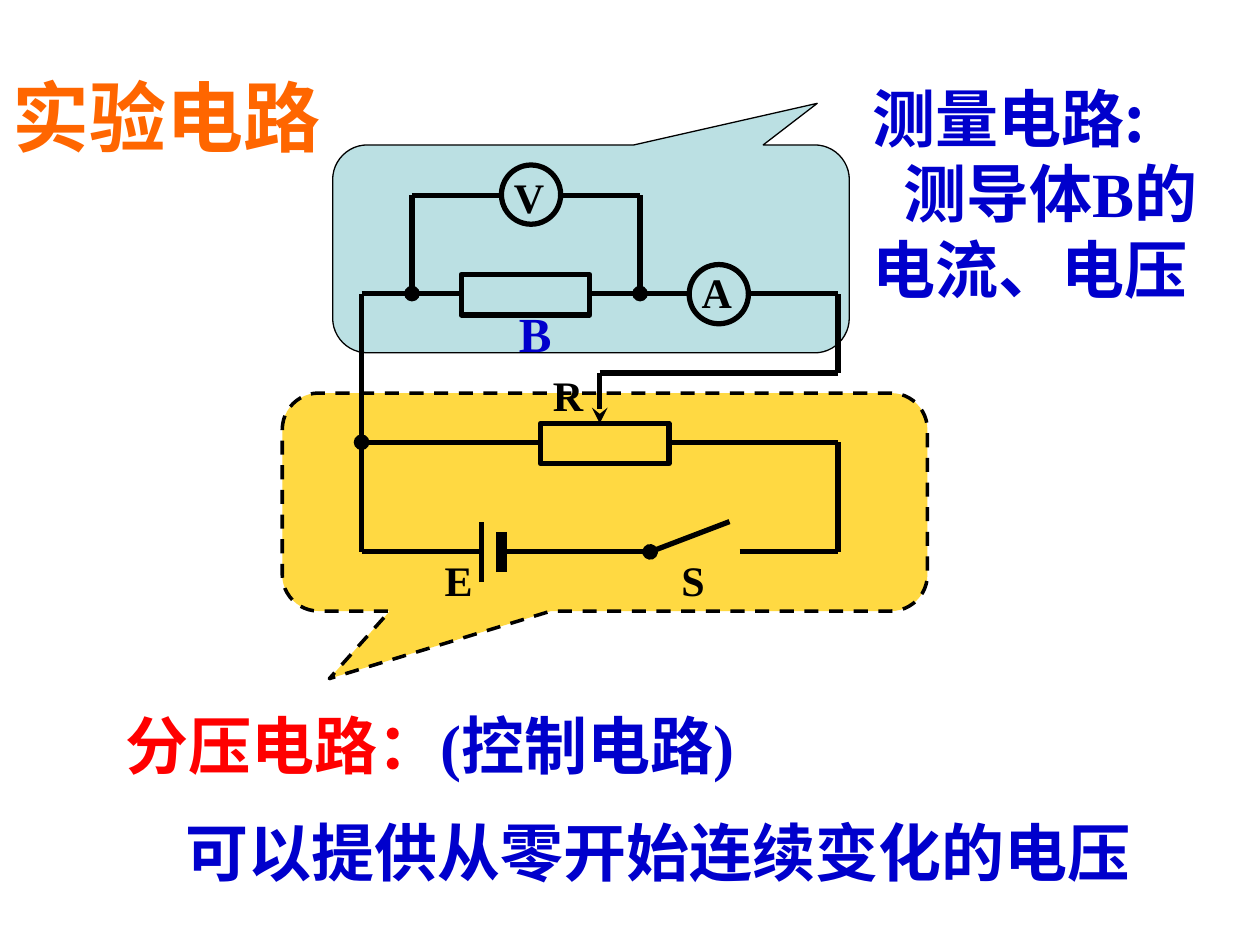
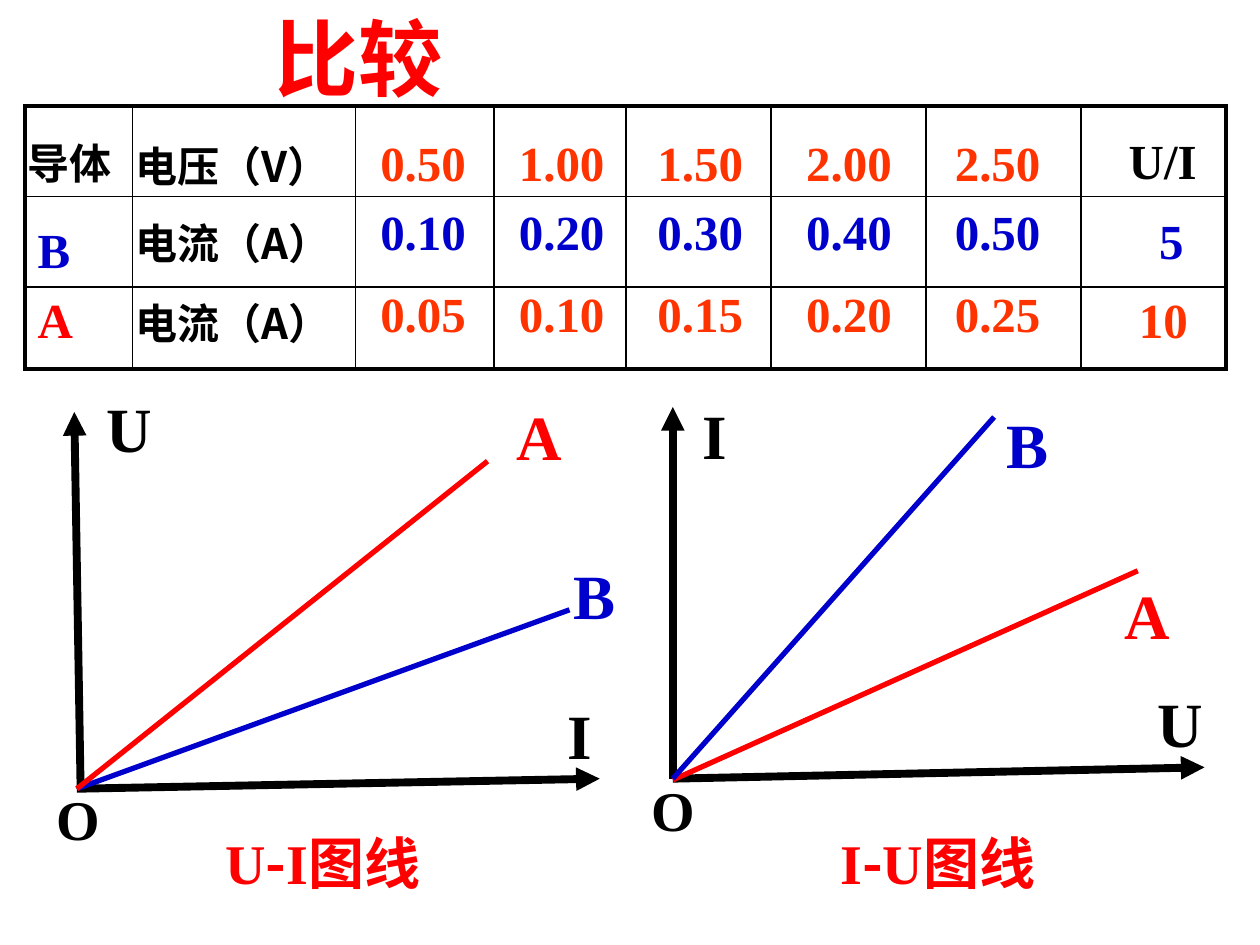
"""Builds two physics slides: a measuring circuit and a comparison of two conductors."""
from lxml.etree import SubElement
from pptx import Presentation
from pptx.dml.color import RGBColor
from pptx.enum.dml import MSO_LINE
from pptx.enum.shapes import MSO_CONNECTOR, MSO_SHAPE
from pptx.enum.text import MSO_ANCHOR, MSO_AUTO_SIZE
from pptx.oxml.ns import qn
from pptx.util import Inches, Pt

COLORS = {"black": "000000", "blue": "0000CC", "red": "FF0000", "orange": "FF6600",
          "vermilion": "FF3300", "teal": "BBE0E3", "gold": "FFCC00"}
SERIF, SANS, CJK, CJK_JP = "Times New Roman", "Arial", "Noto Sans CJK SC", "Noto Sans CJK JP"

LEFT, RIGHT = 2.87, 6.65
TOP, METER, RETURN, SLIDER, BOTTOM = 1.55, 2.33, 2.96, 3.51, 4.38
TAP_1, TAP_2, WIPER, PIVOT = 3.27, 5.08, 4.76, 5.16

CALLOUTS = [
    ((2.64, 1.15, 4.1, 1.65), 180, (-0.438, 0.7, 0.167), "teal", None, 0.75, None),
    ((2.24, 3.12, 5.12, 1.73), 0, (-0.427, 0.81, 0.167), "gold", 74, 2, MSO_LINE.DASH),
]
WIRES = [
    (LEFT, SLIDER, 4.29, SLIDER, "oval"),
    (5.31, SLIDER, RIGHT, SLIDER, None),
    (5.87, BOTTOM, RIGHT, BOTTOM, None),
    (RIGHT, BOTTOM, RIGHT, SLIDER, None),
    (3.98, BOTTOM, PIVOT, BOTTOM, None),
    (LEFT, BOTTOM, 3.82, BOTTOM, None),
    (3.82, 4.62, 3.82, 4.14, None),
    (LEFT, BOTTOM, LEFT, METER, None),
    (LEFT, METER, 3.66, METER, None),
    (4.68, METER, 5.47, METER, None),
    (5.94, METER, RIGHT, METER, None),
    (RIGHT, RETURN, RIGHT, METER, None),
    (WIPER, RETURN, RIGHT, RETURN, None),
    (WIPER, 3.36, WIPER, RETURN, "stealth"),
    (TAP_2, METER, TAP_2, TOP, "oval"),
    (TAP_1, METER, TAP_1, TOP, "oval"),
    (4.45, TOP, TAP_2, TOP, None),
    (TAP_1, TOP, 3.98, TOP, None),
    (PIVOT, BOTTOM, 5.79, 4.14, "oval"),
]
BATTERY_PLATE = (3.98, 4.54, 3.98, 4.22)
PARTS = [
    (MSO_SHAPE.RECTANGLE, (4.29, 3.36, 1.02, 0.32)),
    (MSO_SHAPE.RECTANGLE, (3.66, 2.18, 1.02, 0.32)),
    (MSO_SHAPE.OVAL, (5.47, 2.1, 0.47, 0.47)),
    (MSO_SHAPE.OVAL, (3.98, 1.31, 0.47, 0.47)),
]
PART_LABELS = [
    ("E", (3.43, 4.35, 0.42, 0.5), 24, "black"),
    ("S", (5.31, 4.35, 0.39, 0.5), 24, "black"),
    ("R", (4.29, 2.88, 0.44, 0.5), 24, "black"),
    ("B", (4.02, 2.36, 0.46, 0.57), 28, "blue"),
    ("A", (5.47, 2.07, 0.44, 0.5), 24, "black"),
    ("V", (3.98, 1.31, 0.44, 0.5), 24, "black"),
]

COL_WIDTHS = [0.85, 1.77, 1.1, 1.05, 1.15, 1.23, 1.23, 1.15]
ROW_HEIGHTS = [0.72, 0.72, 0.65]
READING_LEFTS = [2.92, 4.02, 5.12, 6.3, 7.48]
READINGS = [
    (1.0, "vermilion", ["0.50", "1.00", "1.50", "2.00", "2.50"]),
    (1.55, "blue", ["0.10", "0.20", "0.30", "0.40", "0.50"]),
    (2.2, "vermilion", ["0.05", "0.10", "0.15", "0.20", "0.25"]),
]
TABLE_LABELS = [
    ("导体", (0.12, 1.04, 1.26, 0.5), 24, "black", CJK),
    ("B", (0.2, 1.69, 0.87, 0.57), 28, "blue", SERIF),
    ("A", (0.2, 2.25, 0.87, 0.57), 28, "red", SERIF),
    ("电压（V）", (0.98, 1.07, 2.12, 0.5), 24, "black", CJK),
    ("电流（A）", (0.98, 1.68, 2.05, 0.5), 24, "black", CJK),
    ("电流（A）", (0.98, 2.31, 2.2, 0.5), 24, "black", CJK),
    ("U/I", (8.86, 0.99, 0.79, 0.57), 28, "black", SERIF),
    ("5", (9.1, 1.62, 0.71, 0.57), 28, "blue", SERIF),
    ("10", (8.94, 2.25, 0.71, 0.57), 28, "vermilion", SERIF),
]
GRAPHS = [
    {"axes": [(0.61, 6.26, 4.76, 6.18), (0.64, 6.26, 0.59, 3.27)],
     "lines": [(0.61, 6.26, 4.52, 4.84, "blue"), (0.61, 6.26, 3.87, 3.66, "red")],
     "labels": [("I", 4.41, 5.48, "black"), ("U", 0.75, 3.04, "black"),
                ("B", 4.45, 4.37, "blue"), ("A", 4.0, 3.11, "red")],
     "origin": (0.35, 6.18), "caption": (1.69, "U", "I图线")},
    {"axes": [(5.34, 6.18, 9.56, 6.09), (5.34, 6.18, 5.34, 3.23)],
     "lines": [(5.34, 6.19, 9.03, 4.53, "red"), (5.34, 6.18, 7.89, 3.31, "blue")],
     "labels": [("I", 5.48, 3.1, "black"), ("U", 9.09, 5.38, "black"),
                ("B", 7.89, 3.17, "blue"), ("A", 8.83, 4.53, "red")],
     "origin": (5.07, 6.11), "caption": (6.57, "I", "U图线")},
]


def rgb(name):
    return RGBColor.from_string(COLORS[name])


def add_paragraph(p, runs, size, color, font, indent=0, before=0):
    """Fills p with (text, colour, font) runs; None keeps the paragraph's own value."""
    if indent:
        p._p.get_or_add_pPr().set("indent", str(Inches(indent)))
    if before:
        p.space_before = Pt(before)
    p.font.size, p.font.bold, p.font.name = Pt(size), True, font
    p.font.color.rgb = rgb(color)
    for text, run_color, run_font in runs:
        r = p.add_run()
        r.text = text
        if run_color:
            r.font.color.rgb = rgb(run_color)
        if run_font:
            r.font.name = run_font


def add_box(slide, box, wrap=True, anchor=MSO_ANCHOR.TOP, grow=True):
    tf = slide.shapes.add_textbox(*map(Inches, box)).text_frame
    tf.word_wrap, tf.vertical_anchor = wrap, anchor
    tf.auto_size = MSO_AUTO_SIZE.SHAPE_TO_FIT_TEXT if grow else MSO_AUTO_SIZE.NONE
    return tf


def add_label(slide, text, box, size, color, font=SERIF, **options):
    tf = add_box(slide, box, **options)
    add_paragraph(tf.paragraphs[0], [(text, None, None)], size, color, font)


def add_line(slide, ends, color="black", width=3, head=None, tail=None):
    s = slide.shapes.add_connector(MSO_CONNECTOR.STRAIGHT, *map(Inches, ends))
    s.line.color.rgb, s.line.width = rgb(color), Pt(width)
    ln = s.line._get_or_add_ln()
    for tag, kind in (("a:headEnd", head), ("a:tailEnd", tail)):
        if kind:
            SubElement(ln, qn(tag), type=kind)
    SubElement(s._element.spPr, qn("a:effectLst"))


def add_shape(slide, kind, box, width, fill=None):
    s = slide.shapes.add_shape(kind, *map(Inches, box))
    s.shadow.inherit = False
    s.line.color.rgb, s.line.width = rgb("black"), Pt(width)
    if fill:
        s.fill.solid()
        s.fill.fore_color.rgb = rgb(fill)
    else:
        s.fill.background()
    return s


def set_border(cell, side, width):
    ln = SubElement(cell._tc.get_or_add_tcPr(), qn(f"a:ln{side}"), w=str(Pt(width)))
    fill = SubElement(ln, qn("a:solidFill"))
    SubElement(fill, qn("a:srgbClr"), val=COLORS["black"])


def add_grid(slide):
    rows, cols = len(ROW_HEIGHTS), len(COL_WIDTHS)
    size = (0.2, 0.84, sum(COL_WIDTHS), sum(ROW_HEIGHTS))
    table = slide.shapes.add_table(rows, cols, *map(Inches, size)).table
    table.first_row = table.horz_banding = False
    for column, width in zip(table.columns, COL_WIDTHS):
        column.width = Inches(width)
    for row, height in zip(table.rows, ROW_HEIGHTS):
        row.height = Inches(height)
    for i in range(rows):
        for j in range(cols):
            cell = table.cell(i, j)
            outer = {"L": j == 0, "R": j == cols - 1, "T": i == 0, "B": i == rows - 1}
            for side, is_outer in outer.items():
                set_border(cell, side, 2.25 if is_outer else 1)
            cell.fill.background()


def build_circuit(slide):
    for box, rotation, adjust, fill, alpha, width, dash in CALLOUTS:
        s = add_shape(slide, MSO_SHAPE.ROUNDED_RECTANGULAR_CALLOUT, box, width, fill)
        s.rotation = rotation
        for i, value in enumerate(adjust):
            s.adjustments[i] = value
        if alpha:
            clr = s._element.spPr.find(".//" + qn("a:srgbClr"))
            SubElement(clr, qn("a:alpha"), val=str(alpha * 1000))
        if dash:
            s.line.dash_style = dash

    tf = add_box(slide, (0.9, 5.56, 8.82, 1.6))
    add_paragraph(tf.paragraphs[0], [("分压电路：", "red", None), ("(控制电路)", None, SERIF)],
                  36, "blue", SANS)
    add_paragraph(tf.add_paragraph(), [("可以提供从零开始连续变化的电压", None, None)],
                  36, "blue", SANS, indent=0.47, before=18)
    add_label(slide, "实验电路", (0, 0.5, 2.65, 0.83), 44, "orange", SANS, wrap=False)

    for *ends, head in WIRES:
        add_line(slide, ends, head=head)
    add_line(slide, BATTERY_PLATE, width=6)
    for kind, box in PARTS:
        add_shape(slide, kind, box, 3)
    for text, box, size, color in PART_LABELS:
        add_label(slide, text, box, size, color, wrap=False)

    tf = add_box(slide, (6.83, 0.58, 3.17, 1.9))
    add_paragraph(tf.paragraphs[0], [("测量电路:", None, None)], 36, "blue", CJK_JP)
    add_paragraph(tf.add_paragraph(), [("测导体B的电流、电压", None, None)],
                  36, "blue", SERIF, indent=0.24)


def build_comparison(slide):
    add_grid(slide)
    for top, color, values in READINGS:
        for left, value in zip(READING_LEFTS, values):
            add_label(slide, value, (left, top, 1.1, 0.57), 28, color)
    for label in TABLE_LABELS:
        add_label(slide, *label)
    add_label(slide, "比较", (2.08, 0, 4.41, 0.9), 48, "red", CJK, anchor=MSO_ANCHOR.BOTTOM)

    for graph in GRAPHS:
        for ends in graph["axes"]:
            add_line(slide, ends, width=4.5, tail="triangle")
        for *ends, color in graph["lines"]:
            add_line(slide, ends, color)
        for text, left, top, color in graph["labels"]:
            add_label(slide, text, (left, top, 0.8, 0.7), 36, color)
        add_label(slide, "O", (*graph["origin"], 0.73, 0.63), 32, "black")
        left, first, rest = graph["caption"]
        tf = add_box(slide, (left, 6.27, 2.05, 1.15), anchor=MSO_ANCHOR.MIDDLE, grow=False)
        add_paragraph(tf.paragraphs[0], [(first, None, None), ("-", None, CJK), (rest, None, None)],
                      32, "red", SERIF)


def main():
    prs = Presentation()
    prs.slide_width, prs.slide_height = Inches(10), Inches(7.5)
    for build in (build_circuit, build_comparison):
        build(prs.slides.add_slide(prs.slide_layouts[6]))
    prs.save("out.pptx")


if __name__ == "__main__":
    main()
